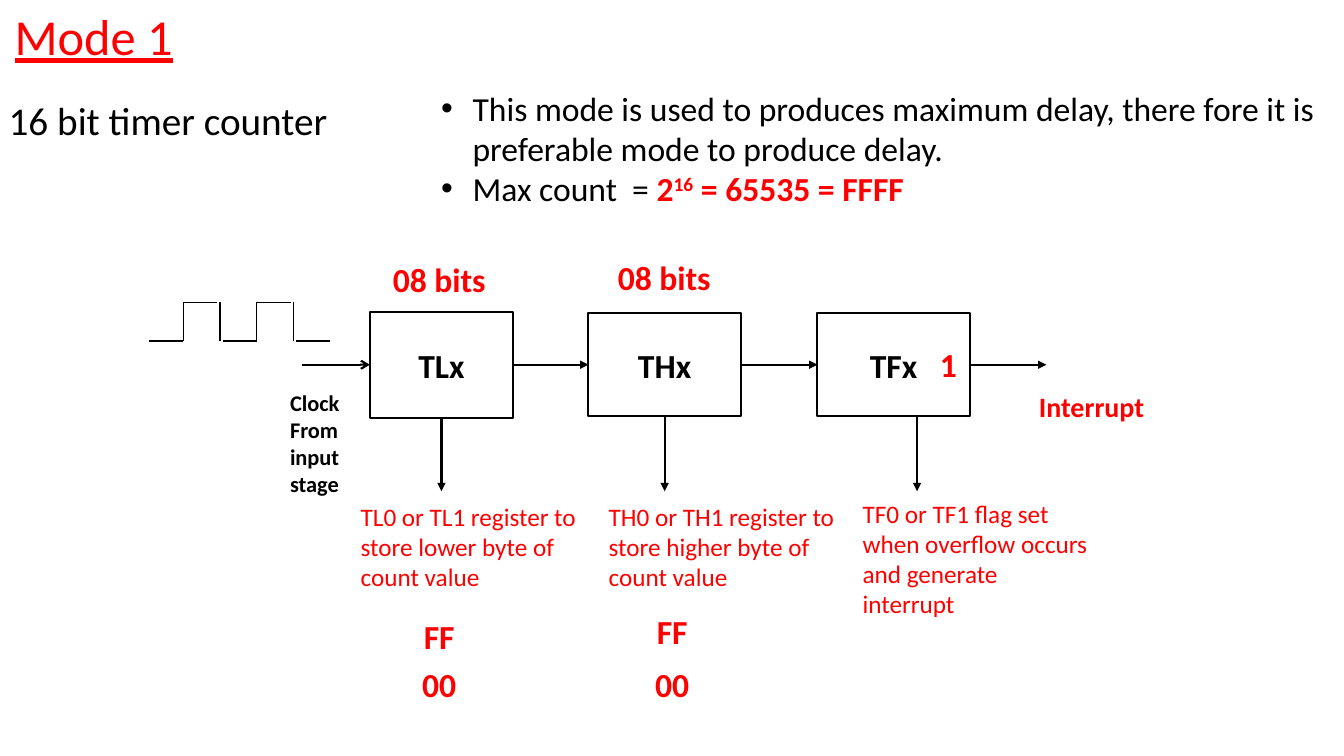
import pptx
import pptx.util
import pptx.dml.color
import pptx.enum.shapes
import pptx.enum.text
import pptx.oxml
import pptx.oxml.ns
import lxml.etree

Cm = pptx.util.Cm
Pt = pptx.util.Pt
Kind = pptx.enum.shapes
Text = pptx.enum.text
qn = pptx.oxml.ns.qn

HUES = {"ink": "000000", "red": "FF0000", "page": "FFFFFF"}

STYLES = {
    "head": {"size": Pt(36), "hue": "red", "underline": True},
    "topic": {"size": Pt(28), "hue": "ink"},
    "point": {"size": Pt(24), "hue": "ink"},
    "value": {"size": Pt(24), "hue": "red", "bold": True},
    "box": {"size": Pt(24), "hue": "ink", "bold": True},
    "clock": {"size": Pt(16), "hue": "ink", "bold": True},
    "flag": {"size": Pt(20), "hue": "red", "bold": True},
    "note": {"size": Pt(18), "hue": "red"},
}

LEFT, MID = Text.PP_ALIGN.LEFT, Text.PP_ALIGN.CENTER

LABELS = [
    (["Mode 1"], "head", MID, (0.1, 0, 4.52, 1.8)),
    (["16 bit timer counter"], "topic", LEFT, (-0.03, 1.63, 12.8, 2.92)),
    (["Clock", "From input stage"], "clock", LEFT, (7.06, 9.68, 2.82, 3)),
    (["08 bits"], "value", MID, (9.47, 6.4, 3.2, 1.27)),
    (["08 bits"], "value", MID, (15.14, 6.35, 3.2, 1.27)),
    (["Interrupt"], "flag", LEFT, (25.93, 9.68, 3.91, 1.12)),
    (["TL0 or TL1 register to store lower byte of count value"],
     "note", LEFT, (8.84, 12.5, 6.3, 2.57)),
    (["TH0 or TH1 register to store higher byte of count value"],
     "note", LEFT, (15.09, 12.5, 6.3, 2.57)),
    (["TF0 or TF1 flag set when overflow occurs and generate interrupt"],
     "note", LEFT, (21.49, 12.42, 6.3, 3.33)),
    (["FF"], "value", MID, (9.47, 15.39, 3.2, 1.27)),
    (["FF"], "value", MID, (15.34, 15.27, 3.2, 1.27)),
    (["00"], "value", MID, (9.47, 16.61, 3.2, 1.27)),
    (["00"], "value", MID, (15.34, 16.61, 3.2, 1.27)),
    (["1"], "value", MID, (22.3, 8.53, 3.2, 1.27)),
]

POINTS = [
    [("This mode is used to produces maximum delay, there fore it is "
      "preferable mode to produce delay.", "point", 0)],
    [("Max count  = ", "point", 0), ("2", "value", 0),
     ("16", "value", 30000), (" = 65535 = FFFF", "value", 0)],
]

BOXES = [("TLx", 9.32, 3.61, 2.67), ("THx", 14.83, 3.84, 2.59),
         ("TFx", 20.6, 3.84, 2.59)]
AXIS = 9.19
DROP = 12.38
PULSE = {"left": 3.76, "step": 1.85, "wide": 0.86, "fall": 1.78,
         "high": 7.62, "low": 8.59}


def paint(font, style):
    for key, val in {"name": "Calibri", **STYLES[style]}.items():
        if key == "hue":
            font.color.rgb = pptx.dml.color.RGBColor.from_string(HUES[val])
        else:
            setattr(font, key, val)


def frame(place):
    body = slide.shapes.add_textbox(*map(Cm, place)).text_frame
    body.word_wrap = True
    body.auto_size = Text.MSO_AUTO_SIZE.SHAPE_TO_FIT_TEXT
    return body


def fill(body, lines, style, align):
    for i, line in enumerate(lines):
        para = body.add_paragraph() if i else body.paragraphs[0]
        para.alignment = align
        run = para.add_run()
        run.text = line
        paint(run.font, style)


def stroke(home, x1, y1, x2, y2, width=1.5, tip=None):
    line = home.add_connector(Kind.MSO_CONNECTOR.STRAIGHT,
                              *map(Cm, (x1, y1, x2, y2)))
    line.line.width = Pt(width)
    line.line.color.rgb = pptx.dml.color.RGBColor.from_string(HUES["ink"])
    props = line.line._get_or_add_ln()
    if tip:
        lxml.etree.SubElement(props, qn("a:tailEnd"), type=tip)
    lxml.etree.SubElement(props.getparent(), qn("a:effectLst"))
    return line


deck = pptx.Presentation()
deck.slide_width, deck.slide_height = Cm(33.87), Cm(19.05)
slide = deck.slides.add_slide(deck.slide_layouts[6])
shapes = slide.shapes

boxes = []
for name, left, wide, tall in BOXES:
    box = shapes.add_shape(Kind.MSO_SHAPE.RECTANGLE, Cm(left),
                           Cm(AXIS - tall / 2), Cm(wide), Cm(tall))
    box.shadow.inherit = False
    box.fill.background()
    box.line.width = Pt(1.5)
    box.line.color.rgb = pptx.dml.color.RGBColor.from_string(HUES["ink"])
    box.text_frame.vertical_anchor = Text.MSO_ANCHOR.MIDDLE
    fill(box.text_frame, [name], "box", MID)
    boxes.append(box)

stroke(shapes, 7.62, AXIS, 9.32, AXIS, tip="arrow").end_connect(boxes[0], 1)
for i, (name, left, wide, tall) in enumerate(BOXES):
    last = i == len(BOXES) - 1
    goal = 26.37 if last else BOXES[i + 1][1]
    link = stroke(shapes, left + wide, AXIS, goal, AXIS, tip="triangle")
    link.begin_connect(boxes[i], 3)
    drop = 23.11 if last else left + wide / 2
    down = stroke(shapes, drop, AXIS + tall / 2, drop, DROP, tip="triangle")
    if not last:
        link.end_connect(boxes[i + 1], 1)
        down.begin_connect(boxes[i], 2)

wave = shapes.add_group_shape().shapes
high, low, wide = PULSE["high"], PULSE["low"], PULSE["wide"]
for i in range(3):
    x = PULSE["left"] + i * PULSE["step"]
    rise, fall = x + wide, x + PULSE["fall"]
    stroke(wave, x, low, rise, low, 1)
    if i < 2:
        stroke(wave, rise, high, rise, low, 1)
        stroke(wave, rise, high, rise + wide, high, 1)
        stroke(wave, fall, high, fall, low, 1)

for lines, style, align, place in LABELS:
    body = frame(place)
    fill(body, lines, style, align)
    if style == "head":
        body.word_wrap = False
    if style == "topic":
        body.auto_size = Text.MSO_AUTO_SIZE.NONE
        body.vertical_anchor = Text.MSO_ANCHOR.MIDDLE
        body.paragraphs[0].line_spacing = 0.9

body = frame((10.87, 2.08, 23.04, 3.33))
for i, parts in enumerate(POINTS):
    para = body.add_paragraph() if i else body.paragraphs[0]
    props = para._p.get_or_add_pPr()
    for key, val in {"marL": Cm(0.79), "indent": -Cm(0.79)}.items():
        props.set(key, str(int(val)))
    lxml.etree.SubElement(props, qn("a:buFont"), typeface="Arial")
    lxml.etree.SubElement(props, qn("a:buChar"), char="•")
    for words, style, lift in parts:
        run = para.add_run()
        run.text = words
        paint(run.font, style)
        if lift:
            run._r.get_or_add_rPr().set("baseline", str(lift))

deck.save("out.pptx")
